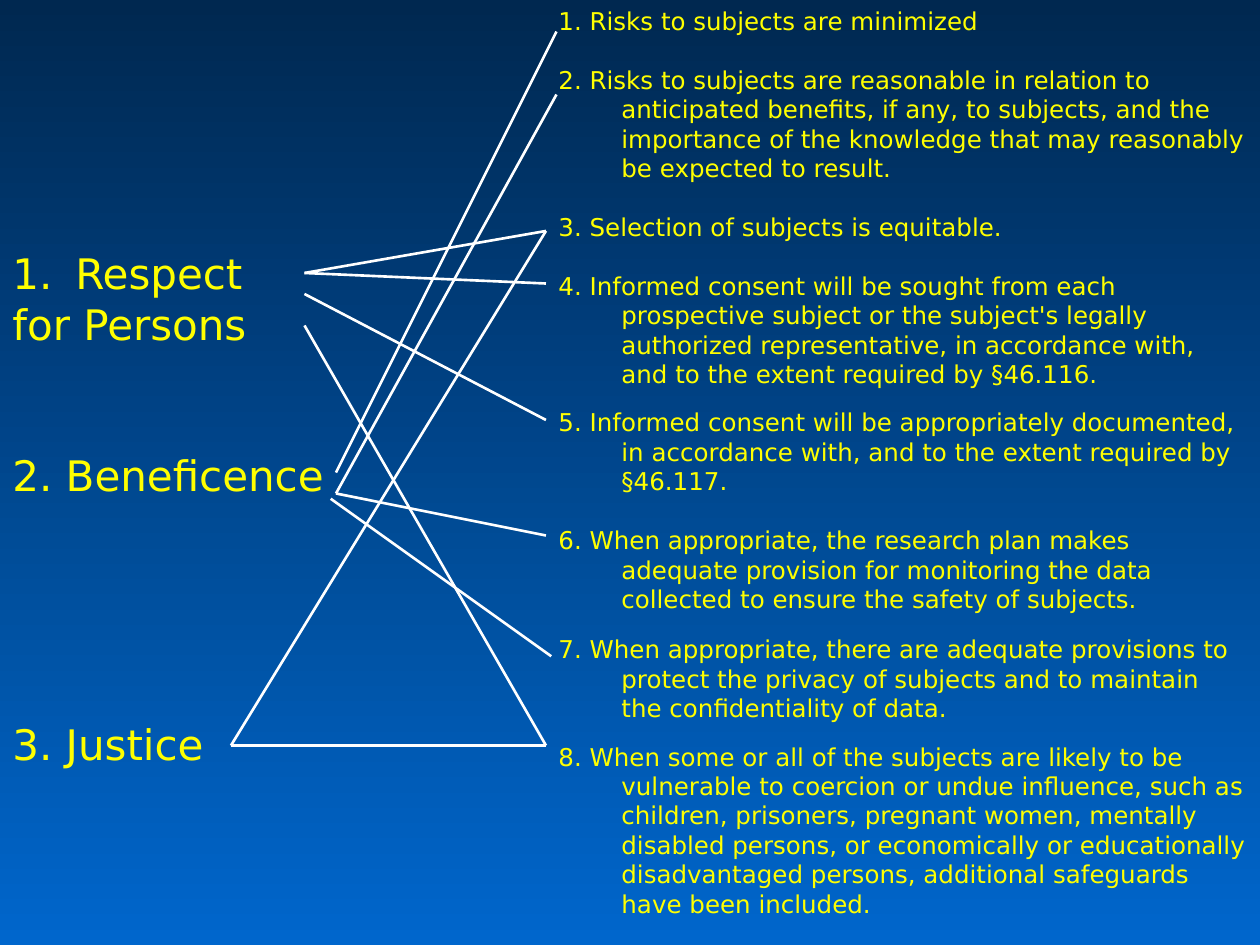
"""Build a slide linking three ethical principles to eight approval criteria."""
from lxml.etree import SubElement
from pptx import Presentation
from pptx.dml.color import RGBColor
from pptx.enum.shapes import MSO_CONNECTOR as Connector
from pptx.enum.text import MSO_AUTO_SIZE as AutoSize
from pptx.oxml.ns import qn
from pptx.util import Pt

FONT, YELLOW, WHITE = "DejaVu Sans", "FFFF00", "FFFFFF"
BACKGROUND = ("002850", "0066CC")

CRITERIA = [
    (0, "1. Risks to subjects are minimized"),
    (16.8, "2. Risks to subjects are reasonable in relation to anticipated benefits, if any, "
           "to subjects, and the importance of the knowledge that may reasonably be expected to result."),
    (16.8, "3. Selection of subjects is equitable."),
    (16.8, "4. Informed consent will be sought from each prospective subject or the subject's legally "
           "authorized representative, in accordance with, and to the extent required by §46.116."),
    (10.8, "5. Informed consent will be appropriately documented, in accordance with, "
           "and to the extent required by §46.117."),
    (16.8, "6. When appropriate, the research plan makes adequate provision for monitoring "
           "the data collected to ensure the safety of subjects."),
    (12, "7. When appropriate, there are adequate provisions to protect the privacy of subjects "
         "and to maintain the confidentiality of data."),
    (10.8, "8. When some or all of the subjects are likely to be vulnerable to coercion or undue influence, "
           "such as children, prisoners, pregnant women, mentally disabled persons, or economically or "
           "educationally disadvantaged persons, additional safeguards have been included."),
]
PRINCIPLES = [(0, "Respect"), (0, "for Persons"), (57.6, "2. Beneficence"), (124.8, "3. Justice")]

RESPECT, BENEFICENCE, JUSTICE = (174, 156), (192, 282), (132, 426)
SELECTION, VULNERABLE = (312, 132), (312, 426)
LINKS = [
    ((192, 270), (318, 18)),
    (BENEFICENCE, (318, 54)),
    (RESPECT, SELECTION),
    (JUSTICE, SELECTION),
    (RESPECT, (312, 162)),
    ((174, 168), (312, 240)),
    (BENEFICENCE, (312, 306)),
    ((189, 285), (315, 375)),
    ((174, 186), VULNERABLE),
    (JUSTICE, VULNERABLE),
]


def rgb(value):
    return RGBColor.from_string(value)


def add_list(s, box, items, size):
    tf = s.shapes.add_textbox(*map(Pt, box)).text_frame
    tf.word_wrap = True
    tf.auto_size = AutoSize.SHAPE_TO_FIT_TEXT
    tf.text = "\n".join(text for _, text in items)
    for p, (gap, _) in zip(tf.paragraphs, items):
        p.space_before = Pt(gap)
        pPr = p._p.get_or_add_pPr()
        pPr.set("marL", str(Pt(36)))
        pPr.set("indent", str(-Pt(36)))
        for r in p.runs:
            r.font.name, r.font.size = FONT, Pt(size)
            r.font.color.rgb = rgb(YELLOW)
    return tf


def number(p):
    pPr = p._p.get_or_add_pPr()
    color = SubElement(pPr, qn("a:buClr"))
    SubElement(color, qn("a:srgbClr"), val=YELLOW)
    SubElement(pPr, qn("a:buFont"), typeface=FONT)
    SubElement(pPr, qn("a:buAutoNum"), type="arabicPeriod")


def add_link(s, start, end):
    line = s.shapes.add_connector(Connector.STRAIGHT, *map(Pt, start + end))
    line.line.color.rgb = rgb(WHITE)
    line.line.width = Pt(1.5)
    SubElement(line._element.spPr, qn("a:effectLst"))


def main():
    prs = Presentation()
    prs.slide_width, prs.slide_height = Pt(720), Pt(540)
    s = prs.slides.add_slide(prs.slide_layouts[6])
    fill = s.background.fill
    fill.gradient()
    fill.gradient_angle = 270
    for stop, color in zip(fill.gradient_stops, BACKGROUND):
        stop.color.rgb = rgb(color)
    add_list(s, (312, 0, 408, 512), CRITERIA, 14)
    principles = add_list(s, (0, 138, 270, 305), PRINCIPLES, 24)
    number(principles.paragraphs[0])
    for start, end in LINKS:
        add_link(s, start, end)
    prs.save("out.pptx")


if __name__ == "__main__":
    main()
